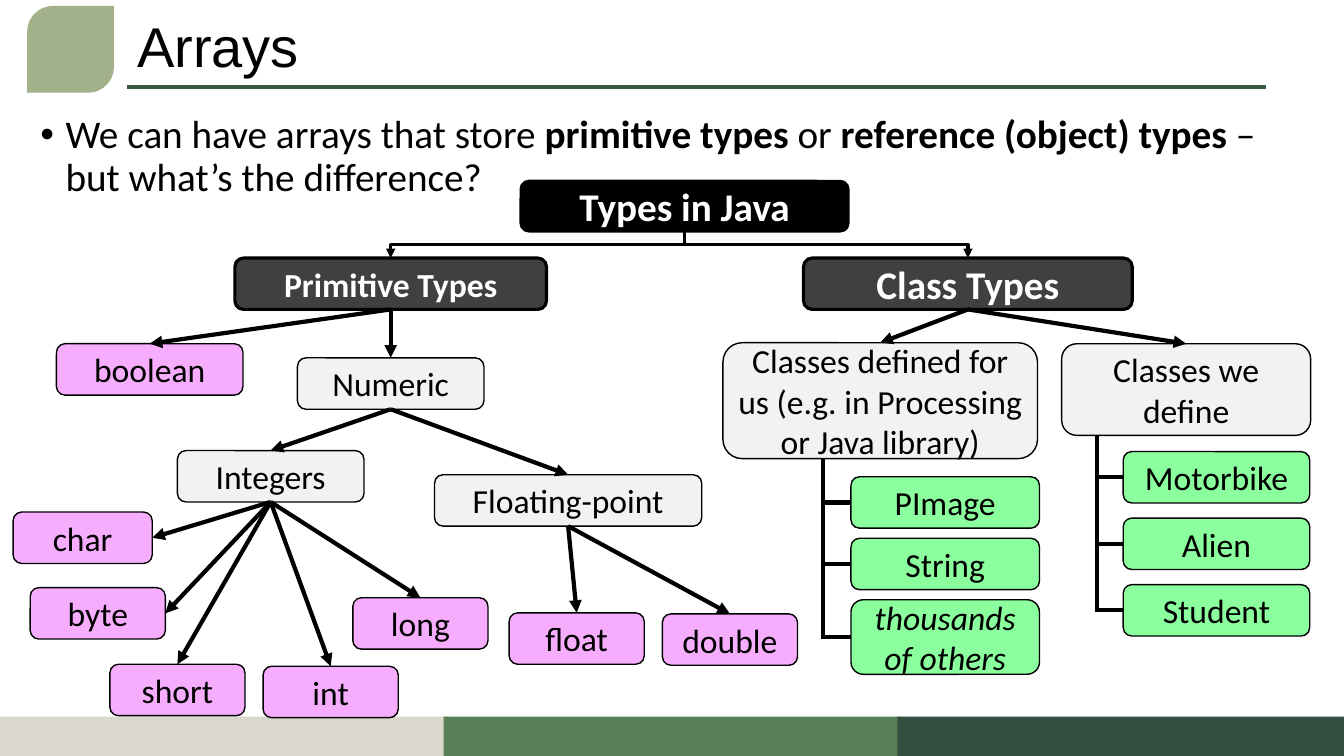
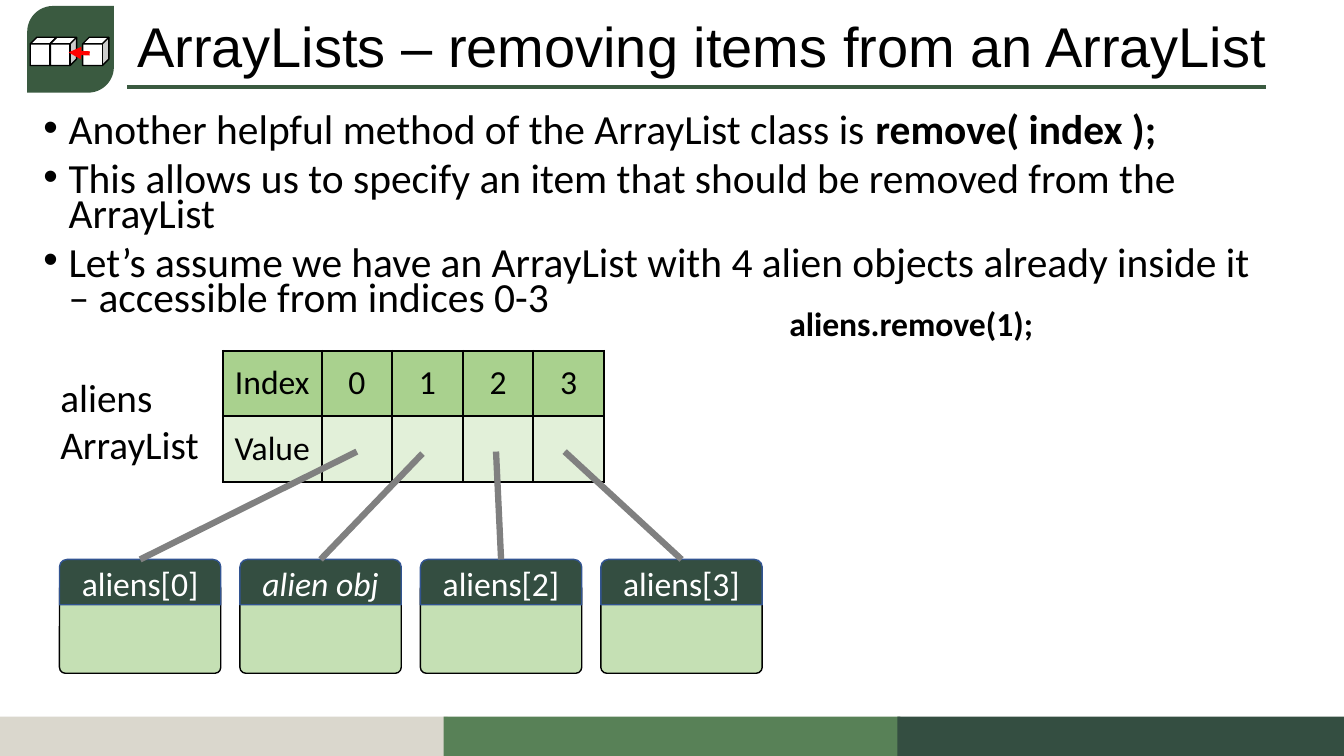
"""Build two Java lecture slides: the tree of types and removing items from an ArrayList."""
from lxml import etree
from pptx import Presentation
from pptx.dml.color import RGBColor
from pptx.enum.shapes import MSO_CONNECTOR, MSO_SHAPE
from pptx.enum.text import MSO_ANCHOR, MSO_AUTO_SIZE, PP_ALIGN
from pptx.oxml.ns import qn
from pptx.util import Inches, Pt

STRAIGHT, ELBOW = MSO_CONNECTOR.STRAIGHT, MSO_CONNECTOR.ELBOW
RECTANGLE, ROUNDED, CUBE = MSO_SHAPE.RECTANGLE, MSO_SHAPE.ROUNDED_RECTANGLE, MSO_SHAPE.CUBE
LEAF, ROUND_TOP = MSO_SHAPE.ROUND_2_DIAG_RECTANGLE, MSO_SHAPE.ROUND_2_SAME_RECTANGLE
LEFT, CENTER = PP_ALIGN.LEFT, PP_ALIGN.CENTER
TOP, MIDDLE = MSO_ANCHOR.TOP, MSO_ANCHOR.MIDDLE
NO_AUTOFIT = MSO_AUTO_SIZE.NONE
TOP_SITE, BOTTOM_SITE, RIGHT_SITE = 0, 2, 3

COLORS = {
    "black": "000000", "white": "FFFFFF", "charcoal": "404040", "grey": "808080",
    "pale grey": "F2F2F2", "pink": "F7ADFD", "mint": "8BFF9E", "red": "FF0000",
    "rule": "3A5A40", "sage": "A3B18A", "sand": "DAD7CD", "green": "588157",
    "forest": "344E41", "header row": "A9D18E", "value row": "E2F0D9",
    "card": "C5E0B4", "card edge": "325491",
}
BANDS = [(0, 4.44, "sand"), (4.4, 4.53, "green"), (8.9, 4.44, "forest")]

TYPES_TITLE = "Arrays"
TYPES_BULLETS = [[
    ("We can have arrays that store ", ""), ("primitive types ", "b"), ("or ", ""),
    ("reference (object) types ", "b"), ("– but what’s the difference?", ""),
]]
NODE_MARGIN = 0.08
NODE_STYLES = {
    "root": ("black", "white", 1, "b"),
    "branch": ("charcoal", "white", 2.25, "b"),
    "group": ("pale grey", "black", 1, ""),
    "primitive": ("pink", "black", 1, ""),
    "class": ("mint", "black", 1, ""),
    "others": ("mint", "black", 1, "i"),
}
PROVIDED = "Classes defined for us (e.g. in Processing or Java library)"
OWN = "Classes we define"
OTHERS = "thousands of others"
NODES = [
    ("Types in Java", "root", 28, 5.16, 1.79, 3.26, 0.51),
    ("Primitive Types", "branch", 24, 2.33, 2.56, 3.09, 0.51),
    ("Class Types", "branch", 28, 7.97, 2.56, 3.26, 0.51),
    ("boolean", "primitive", 24, 0.56, 3.41, 1.85, 0.51),
    ("Numeric", "group", 24, 2.95, 3.55, 1.85, 0.51),
    ("Integers", "group", 24, 1.76, 4.47, 1.85, 0.51),
    ("Floating-point", "group", 24, 4.31, 4.71, 2.65, 0.51),
    ("char", "primitive", 24, 0.13, 5.08, 1.38, 0.51),
    ("byte", "primitive", 24, 0.3, 5.83, 1.34, 0.51),
    ("short", "primitive", 24, 1.09, 6.59, 1.34, 0.51),
    ("int", "primitive", 24, 2.61, 6.61, 1.34, 0.51),
    ("long", "primitive", 24, 3.5, 5.93, 1.34, 0.51),
    ("float", "primitive", 24, 5.05, 6.08, 1.34, 0.51),
    ("double", "primitive", 24, 6.57, 6.09, 1.34, 0.51),
    (PROVIDED, "group", 24, 7.17, 3.4, 3.12, 1.15),
    (OWN, "group", 24, 10.53, 3.41, 2.47, 0.91),
    ("PImage", "class", 24, 8.44, 4.73, 1.87, 0.51),
    ("String", "class", 24, 8.44, 5.34, 1.87, 0.51),
    (OTHERS, "others", 24, 8.44, 5.95, 1.87, 0.74),
    ("Motorbike", "class", 24, 11.14, 4.48, 1.85, 0.51),
    ("Alien", "class", 24, 11.14, 5.14, 1.85, 0.51),
    ("Student", "class", 24, 11.14, 5.8, 1.85, 0.51),
]
ELBOWS = [("Types in Java", "Primitive Types"), ("Types in Java", "Class Types")]
ARROWS = {
    "Primitive Types": ["boolean", "Numeric"],
    "Class Types": [PROVIDED, OWN],
    "Numeric": ["Integers", "Floating-point"],
    "Integers": ["char", "byte", "short", "int", "long"],
    "Floating-point": ["float", "double"],
}
SIDE_ENTRY = {"char", "byte"}
BRACKETS = [
    (PROVIDED, 8.16, ["PImage", "String", OTHERS]),
    (OWN, 10.88, ["Motorbike", "Alien", "Student"]),
]

REMOVE_TITLE = "ArrayLists – removing items from an ArrayList"
REMOVE_BULLETS = [
    [("Another helpful method of the ArrayList class is ", ""), ("remove( index );", "b")],
    [("This allows us to specify an item that should be removed from the ArrayList", "")],
    [("Let’s assume we have an ArrayList with 4 alien objects already inside it "
      "– accessible from indices 0-3", "")],
]
INDEX_ROWS = [
    ("header row", ["Index", "0", "1", "2", "3"]),
    ("value row", ["Value", "", "", "", ""]),
]
INDEX_WIDTHS = [0.98, 0.7, 0.7, 0.7, 0.7]
CARDS = [
    ("aliens[0]", "", 3.54, 4.48), ("alien obj", "i", 4.19, 4.5),
    ("aliens[2]", "", 4.92, 4.48), ("aliens[3]", "", 5.6, 4.48),
]
CARD_LEFT, CARD_TOP, CARD_WIDTH, CARD_STEP = 0.59, 5.55, 1.6, 1.79
CUBE_LEFTS = [0.3, 0.5, 0.82]


def rgb(name):
    return RGBColor.from_string(COLORS[name])


def inches(*lengths):
    return [Inches(length) for length in lengths]


def write(frame, paragraphs, size, color="black", align=LEFT, anchor=MIDDLE, font="Calibri"):
    frame.vertical_anchor = anchor
    for number, runs in enumerate(paragraphs):
        paragraph = frame.add_paragraph() if number else frame.paragraphs[0]
        paragraph.alignment = align
        for text, style in runs:
            run = paragraph.add_run()
            run.text = text
            run.font.name, run.font.size = font, Pt(size)
            run.font.bold, run.font.italic = style == "b", style == "i"
            run.font.color.rgb = rgb(color)


def add_box(slide, kind, box, fill, line=None, width=1, adjustments=()):
    shape = slide.shapes.add_shape(kind, *inches(*box))
    shape.shadow.inherit = False
    shape.fill.solid()
    shape.fill.fore_color.rgb = rgb(fill)
    if line:
        shape.line.color.rgb = rgb(line)
        shape.line.width = Pt(width)
    else:
        shape.line.fill.background()
    for number, value in enumerate(adjustments):
        shape.adjustments[number] = value
    return shape


def add_line(slide, start, end, color="black", width=3, arrow=False, kind=STRAIGHT):
    connector = slide.shapes.add_connector(kind, *inches(*start, *end))
    connector.line.color.rgb = rgb(color)
    connector.line.width = Pt(width)
    if arrow:
        etree.SubElement(connector.line._get_or_add_ln(), qn("a:tailEnd"), type="triangle")
    etree.SubElement(connector._element.spPr, qn("a:effectLst"))
    return connector


def add_elbow(slide, start, end):
    """Draw a vertical elbow as a horizontal one turned a quarter about its centre."""
    center_x, center_y = (start[0] + end[0]) / 2, (start[1] + end[1]) / 2
    half_x, half_y = abs(end[0] - start[0]) / 2, (end[1] - start[1]) / 2
    leftward = end[0] < start[0]
    reach = half_y if leftward else -half_y
    connector = add_line(slide, (center_x - reach, center_y - half_x),
                         (center_x + reach, center_y + half_x), width=2.25, arrow=True, kind=ELBOW)
    turn = 90 if leftward else 270
    connector._element.spPr.find(qn("a:xfrm")).set("rot", str(turn * 60000))


def add_text(slide, box, paragraphs, size, wrap=True):
    frame = slide.shapes.add_textbox(*inches(*box)).text_frame
    frame.word_wrap = wrap
    write(frame, paragraphs, size, anchor=TOP)


def place(placeholder, box):
    placeholder.left, placeholder.top, placeholder.width, placeholder.height = inches(*box)
    placeholder.text_frame.auto_size = NO_AUTOFIT
    return placeholder.text_frame


def add_slide(presentation, title, bullets, body_box, size, spacing, badge):
    slide = presentation.slides.add_slide(presentation.slide_layouts[1])
    add_line(slide, (1.26, 0.86), (12.56, 0.86), "rule")
    for left, width, color in BANDS:
        add_box(slide, RECTANGLE, (left, 7.11, width, 0.39), color)
    add_box(slide, LEAF, (0.27, 0.06, 0.86, 0.86), badge, adjustments=(0.297, 0))

    title_frame = place(slide.shapes.title, (1.26, 0.13, 12.07, 0.72))
    write(title_frame, [[(title, "")]], 40, font="Arial")
    title_frame.paragraphs[0].line_spacing = 0.9

    body_frame = place(slide.placeholders[1], body_box)
    write(body_frame, bullets, size, anchor=TOP)
    for number, paragraph in enumerate(body_frame.paragraphs):
        paragraph.line_spacing = spacing
        paragraph.space_before = Pt(10 if number else 0)
        properties = paragraph._p.get_or_add_pPr()
        properties.set("marL", str(Inches(0.25)))
        properties.set("indent", str(Inches(-0.25)))
        etree.SubElement(properties, qn("a:buFont"), typeface="Arial")
        etree.SubElement(properties, qn("a:buChar"), char="•")
    return slide


def add_type_tree(slide):
    shapes, boxes = {}, {}
    for text, kind, size, *box in NODES:
        fill, color, width, style = NODE_STYLES[kind]
        shape = add_box(slide, ROUNDED, box, fill, "black", width)
        frame = shape.text_frame
        frame.margin_left = frame.margin_right = Inches(NODE_MARGIN)
        write(frame, [[(text, style)]], size, color, CENTER)
        shapes[text], boxes[text] = shape, box

    def bottom(name):
        left, top, width, height = boxes[name]
        return left + width / 2, top + height

    for parent, child in ELBOWS:
        left, top, width, _ = boxes[child]
        add_elbow(slide, bottom(parent), (left + width / 2, top))
    for parent, children in ARROWS.items():
        for child in children:
            connector = add_line(slide, (0, 0), (1, 1), arrow=True)
            connector.begin_connect(shapes[parent], BOTTOM_SITE)
            connector.end_connect(shapes[child], RIGHT_SITE if child in SIDE_ENTRY else TOP_SITE)
    for parent, trunk, children in BRACKETS:
        for child in children:
            left, top, _, height = boxes[child]
            middle = top + height / 2
            add_line(slide, (left, middle), (trunk, middle))
        add_line(slide, (trunk, bottom(parent)[1]), (trunk, middle + 0.02))


def add_index_table(slide):
    box = (2.21, 3.48, sum(INDEX_WIDTHS), 1.3)
    table = slide.shapes.add_table(len(INDEX_ROWS), len(INDEX_WIDTHS), *inches(*box)).table
    table.first_row = table.horz_banding = False
    for column, width in zip(table.columns, INDEX_WIDTHS):
        column.width = Inches(width)
    for row, (fill, texts) in zip(table.rows, INDEX_ROWS):
        row.height = Inches(0.65)
        for cell, text in zip(row.cells, texts):
            cell.margin_left = cell.margin_right = Inches(0.05)
            write(cell.text_frame, [[(text, "")]] if text else [], 24, align=CENTER)
            cell.vertical_anchor = MIDDLE
            properties = cell._tc.get_or_add_tcPr()
            for side in ("a:lnL", "a:lnR", "a:lnT", "a:lnB"):
                border = etree.SubElement(properties, qn(side), w=str(Pt(1.5)))
                paint = etree.SubElement(border, qn("a:solidFill"))
                etree.SubElement(paint, qn("a:srgbClr"), val=COLORS["black"])
            cell.fill.solid()
            cell.fill.fore_color.rgb = rgb(fill)


def add_cards(slide):
    for number, (text, style, link_x, link_y) in enumerate(CARDS):
        left = CARD_LEFT + number * CARD_STEP
        add_box(slide, ROUNDED, (left, CARD_TOP + 0.23, CARD_WIDTH, 0.9), "card", "black",
                adjustments=(0.066,))
        header = add_box(slide, ROUND_TOP, (left, CARD_TOP, CARD_WIDTH, 0.45), "forest", "card edge")
        write(header.text_frame, [[(text, style)]], 24, "white", CENTER)
        add_line(slide, (link_x, link_y), (left + CARD_WIDTH / 2, CARD_TOP), "grey", 4.5)


def main():
    presentation = Presentation()
    presentation.slide_width, presentation.slide_height = inches(13.33, 7.5)

    types_slide = add_slide(presentation, TYPES_TITLE, TYPES_BULLETS,
                            (0.3, 1.09, 12.38, 1.38), 28, 0.9, "sage")
    add_type_tree(types_slide)

    remove_slide = add_slide(presentation, REMOVE_TITLE, REMOVE_BULLETS,
                             (0.33, 1.11, 12.38, 2.19), 29.6, 0.7, "rule")
    for left in CUBE_LEFTS:
        add_box(remove_slide, CUBE, (left, 0.37, 0.26, 0.28), "white", "black")
    add_line(remove_slide, (0.89, 0.53), (0.68, 0.52), "red", arrow=True)
    add_index_table(remove_slide)
    add_cards(remove_slide)
    add_text(remove_slide, (0.5, 3.65, 1.59, 1.04), [[("aliens", "")], [("ArrayList", "")]], 28, False)
    add_text(remove_slide, (7.73, 2.96, 5.47, 0.69), [[("aliens.remove(1);", "b")]], 24)

    presentation.save("out.pptx")


if __name__ == "__main__":
    main()
